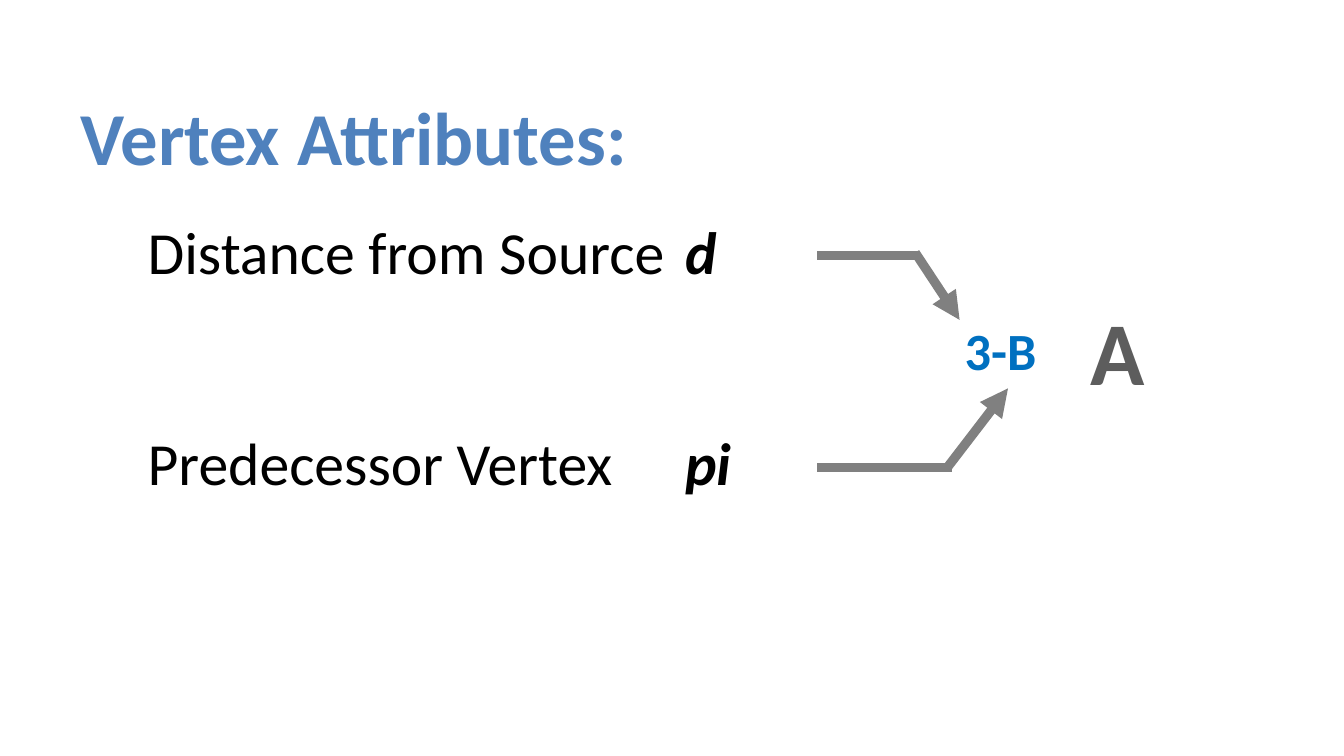
"""Build the vertex attributes slide."""
import pptx
import pptx.util
import pptx.dml.color
import pptx.enum.shapes
import pptx.enum.text
import lxml.etree

TITLE = "Vertex Attributes:"
ROWS = [("Distance from Source \t", "d", 18), ("Predecessor Vertex \t", "pi", 75)]
TAGS = [
    ("A", 48, "5D5D5D", (8.01, 2.15, 0.61, 0.91), "CENTER", False),
    ("3-B", 28, "0070C0", (7.08, 2.32, 0.84, 0.57), "LEFT", True),
]
LINES = [
    ((6.08, 3.48), (7.08, 3.48), False),
    ((6.08, 1.9), (6.83, 1.9), False),
    ((7.04, 3.49), (7.5, 2.89), True),
    ((6.81, 1.88), (7.14, 2.38), True),
]

inch, pt = pptx.util.Inches, pptx.util.Pt
qn = pptx.oxml.ns.qn


def tint(text):
    return pptx.dml.color.RGBColor.from_string(text)


def style(para, size, color, bold=None):
    font = para.font
    font.name, font.size, font.bold = "Calibri", pt(size), bold
    font.color.rgb = tint(color)


def add_box(slide, place, wrap=True):
    frame = slide.shapes.add_textbox(*map(inch, place)).text_frame
    frame.word_wrap = wrap
    return frame


def add_list(slide):
    frame = add_box(slide, (0.5, 0.63, 9, 4.09))
    head = frame.paragraphs[0]
    head.text = TITLE
    style(head, 40, "4F81BD", True)
    for label, name, gap in ROWS:
        para = frame.add_paragraph()
        para.level = 1
        props = para._p.get_or_add_pPr()
        props.set("marL", str(inch(0.5)))
        props.set("indent", "0")
        para.space_before = pt(gap)
        style(para, 32, "000000")
        para.add_run().text = label
        run = para.add_run()
        run.text = name
        run.font.bold = run.font.italic = True


def add_tag(slide, text, size, color, place, align, wrap):
    para = add_box(slide, place, wrap).paragraphs[0]
    para.text = text
    para.alignment = pptx.enum.text.PP_ALIGN[align]
    style(para, size, color, True)


def add_line(slide, start, end, arrow):
    kind = pptx.enum.shapes.MSO_CONNECTOR.STRAIGHT
    line = slide.shapes.add_connector(kind, *map(inch, start + end))
    line.line.color.rgb = tint("808080")
    line.line.width = pt(5)
    if arrow:
        tip = lxml.etree.SubElement(line.line._get_or_add_ln(), qn("a:tailEnd"))
        tip.set("type", "triangle")
    lxml.etree.SubElement(line._element.spPr, qn("a:effectLst"))


def main():
    deck = pptx.Presentation()
    deck.slide_width = inch(10)
    deck.slide_height = deck.slide_width * 9 // 16
    slide = deck.slides.add_slide(deck.slide_layouts[6])
    add_list(slide)
    for tag in TAGS:
        add_tag(slide, *tag)
    for line in LINES:
        add_line(slide, *line)
    deck.save("out.pptx")


if __name__ == "__main__":
    main()
